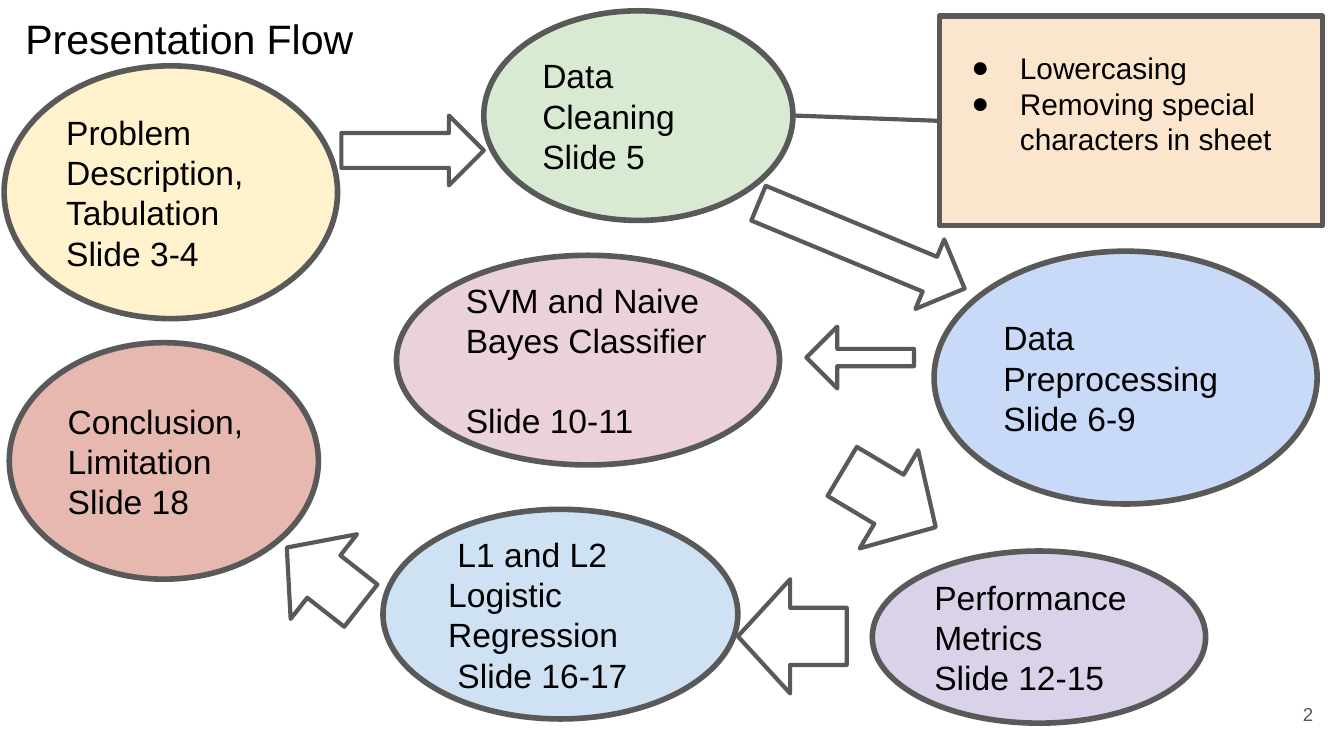
from lxml import etree
from pptx import Presentation
from pptx.dml.color import RGBColor
from pptx.enum.shapes import MSO_CONNECTOR, MSO_SHAPE
from pptx.enum.text import MSO_ANCHOR, PP_ALIGN
from pptx.oxml.ns import qn
from pptx.util import Pt

OVAL, RECT = MSO_SHAPE.OVAL, MSO_SHAPE.RECTANGLE
ARROW = MSO_SHAPE.RIGHT_ARROW
STRAIGHT = MSO_CONNECTOR.STRAIGHT
MIDDLE, TOP = MSO_ANCHOR.MIDDLE, MSO_ANCHOR.TOP
LEFT, RIGHT = PP_ALIGN.LEFT, PP_ALIGN.RIGHT

FONT = "Arial"
INSET = 7.2
COLORS = {
    "ink": "000000", "edge": "595959", "paper": "FFFFFF",
    "cream": "FFF2CC", "green": "D9EAD3", "pink": "EAD1DC",
    "violet": "D9D2E9", "red": "E6B8AF", "peach": "FCE5CD",
    "blue": "C9DAF8", "sky": "CFE2F3",
}

# left, top, width, height, fill, topic, slides, gap between the two
STEPS = [
    (2.2, 35.3, 178.6, 135.4, "cream", "Problem Description, Tabulation", "Slide 3-4", 0),
    (259.2, 5.8, 165.6, 112.3, "green", "Data Cleaning", "Slide 5", 0),
    (212.4, 136.8, 205.2, 112.3, "pink", "SVM and Naive Bayes Classifier", "Slide 10-11", 21.5),
    (467.3, 295.2, 178.6, 92.2, "violet", "Performance Metrics", "Slide 12-15", 0),
    (5, 183.6, 165.6, 126.7, "red", "Conclusion, Limitation", "Slide 18", 0),
    (500.4, 134.6, 205.2, 135.4, "blue", "Data Preprocessing", "Slide 6-9", 0),
    (205.2, 272.9, 190.1, 112.3, "sky", " L1 and L2 Logistic Regression", " Slide 16-17", 0),
]

# left, top, width, height, turn, shaft share, head share
ARROWS = [
    (182.9, 61.9, 76.3, 37.4, 0, 0.5, 0.5),
    (432, 175, 57.6, 33.1, 180, 0.28, 0.5),
    (447.1, 236.9, 58.3, 61.2, 30.8, 0.5, 0.5),
    (148.3, 280.1, 50.4, 57.6, 218.1, 0.5, 0.5),
    (401.8, 111.6, 119.5, 40.3, 22.5, 0.5, 0.5),
    (395.3, 310.3, 58.3, 61.2, 180, 0.5, 0.48),
]


def color(name):
    return RGBColor.from_string(COLORS[name])


def write(shape, lines, size, ink="ink", align=LEFT, anchor=MIDDLE):
    frame = shape.text_frame
    frame.word_wrap = True
    frame.vertical_anchor = anchor
    frame.margin_left = frame.margin_right = Pt(INSET)
    frame.margin_top = frame.margin_bottom = Pt(INSET)
    frame.text = "\n".join(lines)
    for para in frame.paragraphs:
        para.alignment = align
        for run in para.runs:
            run.font.name = FONT
            run.font.size = Pt(size)
            run.font.color.rgb = color(ink)
    return frame


def add_shape(slide, kind, box, fill, weight):
    shape = slide.shapes.add_shape(kind, *map(Pt, box))
    shape.shadow.inherit = False
    shape.fill.solid()
    shape.fill.fore_color.rgb = color(fill)
    shape.line.color.rgb = color("edge")
    shape.line.width = Pt(weight)
    return shape


def add_step(slide, step):
    *box, fill, topic, pages, gap = step
    shape = add_shape(slide, OVAL, box, fill, 3)
    frame = write(shape, [topic, pages], 18)
    frame.paragraphs[1].space_before = Pt(gap)


def add_arrow(slide, arrow):
    *box, turn, shaft, head = arrow
    shape = add_shape(slide, ARROW, box, "paper", 2.25)
    shape.rotation = turn
    shape.adjustments[0] = shaft
    shape.adjustments[1] = head


def add_list(slide, box, items):
    shape = add_shape(slide, RECT, box, "peach", 3)
    frame = write(shape, items, 16)
    frame.margin_bottom = Pt(INSET + 19)
    for para in frame.paragraphs:
        props = para._p.get_or_add_pPr()
        props.set("marL", str(Pt(36)))
        props.set("indent", str(Pt(-26)))
        tint = etree.SubElement(props, qn("a:buClr"))
        etree.SubElement(tint, qn("a:srgbClr"), val=COLORS["ink"])
        etree.SubElement(props, qn("a:buFont"), typeface=FONT)
        etree.SubElement(props, qn("a:buChar"), char="●")
    return shape


def add_link(slide, start, target):
    """Draw a line from a point to the left side of the target."""
    link = slide.shapes.add_connector(STRAIGHT, *map(Pt, start + start))
    link.end_connect(target, 1)
    link.line.color.rgb = color("edge")
    link.line.width = Pt(2.25)
    etree.SubElement(link._element.spPr, qn("a:effectLst"))


def add_label(slide, box, text, size, **style):
    label = slide.shapes.add_textbox(*map(Pt, box))
    write(label, [text], size, **style)


def main():
    deck = Presentation()
    deck.slide_width, deck.slide_height = Pt(720), Pt(405)
    slide = deck.slides.add_slide(deck.slide_layouts[6])

    add_label(slide, (6.5, 0, 671, 45.4), "Presentation Flow", 22, anchor=TOP)
    for step in STEPS[:-1]:
        add_step(slide, step)
    notes = add_list(slide, (503.3, 8.6, 205.2, 112.3),
                     ["Lowercasing", "Removing special characters in sheet"])
    for arrow in ARROWS:
        add_arrow(slide, arrow)
    add_link(slide, (424.8, 61.9), notes)
    add_label(slide, (667.4, 367.2, 43.2, 31), "2", 10, ink="edge", align=RIGHT)
    add_step(slide, STEPS[-1])  # lies over the tip of the last arrow

    deck.save("out.pptx")


if __name__ == "__main__":
    main()
